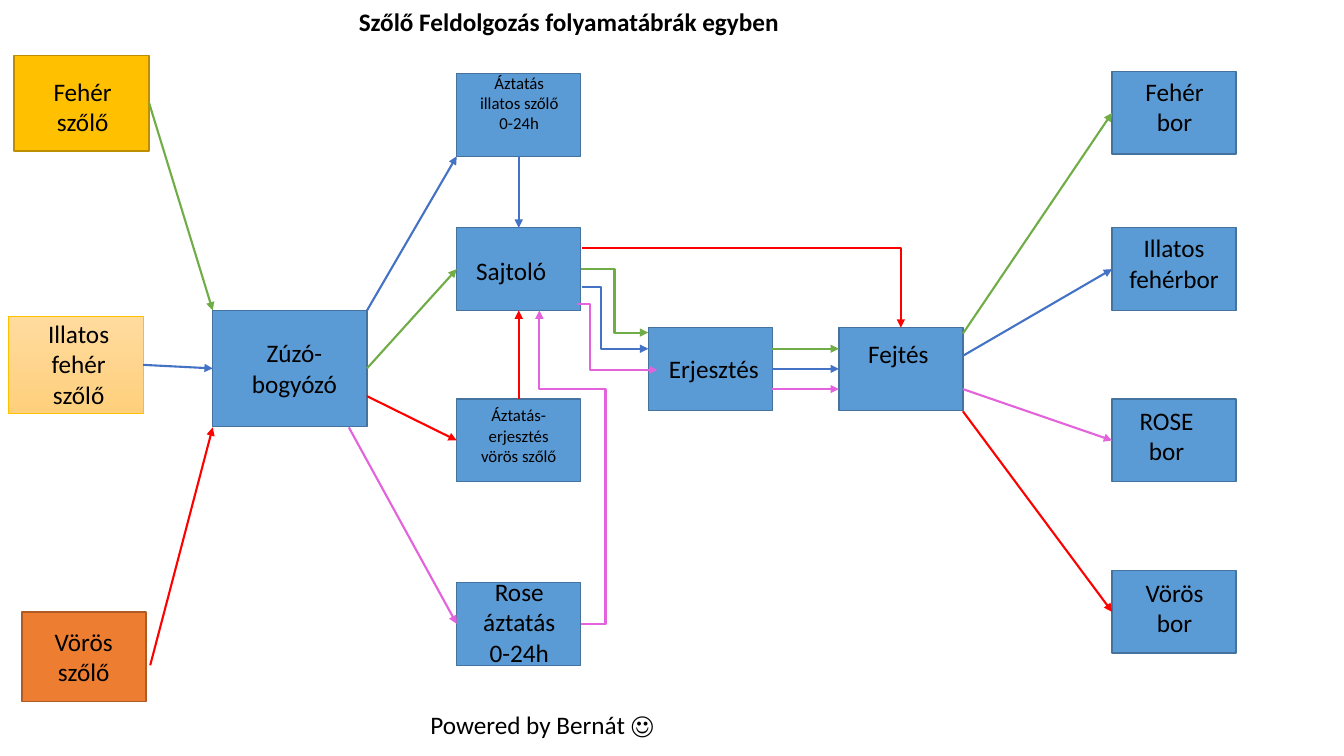
"""Build the grape processing flow chart slide."""
from lxml import etree
from pptx import Presentation
from pptx.dml.color import RGBColor
from pptx.enum.shapes import MSO_CONNECTOR as CONN, MSO_SHAPE as SHAPE
from pptx.enum.text import MSO_AUTO_SIZE as AUTO, PP_ALIGN as ALIGN
from pptx.oxml.ns import qn
from pptx.util import Inches, Pt

BLACK = RGBColor(0x00, 0x00, 0x00)
GOLD = RGBColor(0xFF, 0xC0, 0x00)
GOLD_EDGE = RGBColor(0xBD, 0x8E, 0x00)
ORANGE = RGBColor(0xED, 0x7D, 0x31)
ORANGE_EDGE = RGBColor(0xAF, 0x5C, 0x24)
SKY = RGBColor(0x5B, 0x9B, 0xD5)
SKY_EDGE = RGBColor(0x43, 0x73, 0x9E)
PEACH_TOP = RGBColor(0xFF, 0xDB, 0x9E)
PEACH_BOTTOM = RGBColor(0xFF, 0xD0, 0x7C)
GREEN = RGBColor(0x70, 0xAD, 0x47)
BLUE = RGBColor(0x44, 0x72, 0xC4)
RED = RGBColor(0xFF, 0x00, 0x00)
PINK = RGBColor(0xE4, 0x62, 0xDB)

TOP, LEFT, BOTTOM, RIGHT = range(4)
STEP_W, STEP_H = 1.23, 0.82

prs = Presentation()
prs.slide_width, prs.slide_height = Inches(13.33), Inches(7.5)
slide = prs.slides.add_slide(prs.slide_layouts[6])
shapes = slide.shapes


def add_text(lines, x, y, w, h, size=18, align=ALIGN.CENTER, bold=False):
    tf = shapes.add_textbox(Inches(x), Inches(y), Inches(w), Inches(h)).text_frame
    tf.word_wrap = True
    tf.auto_size = AUTO.SHAPE_TO_FIT_TEXT
    for i, line in enumerate(lines):
        p = tf.paragraphs[0] if i == 0 else tf.add_paragraph()
        p.alignment = align
        r = p.add_run()
        r.text = line
        r.font.name, r.font.size, r.font.bold = "Calibri", Pt(size), bold
        r.font.color.rgb = BLACK


def add_arrow(color, start, end, bend=None, adjustments=()):
    points = [(0, 0) if isinstance(e[0], str) else e for e in (start, end)]
    kind = CONN.ELBOW if bend else CONN.STRAIGHT
    cx = shapes.add_connector(kind, *(Inches(v) for pt in points for v in pt))
    if isinstance(start[0], str):
        cx.begin_connect(boxes[start[0]], start[1])
    if isinstance(end[0], str):
        cx.end_connect(boxes[end[0]], end[1])
    cx.line.color.rgb, cx.line.width = color, Pt(1.5)
    sp_pr = cx._element.spPr
    etree.SubElement(cx.line._get_or_add_ln(), qn("a:tailEnd"), type="triangle")
    etree.SubElement(sp_pr, qn("a:effectLst"))
    if bend:
        geom = sp_pr.find(qn("a:prstGeom"))
        geom.set("prst", bend)
        guides = geom.find(qn("a:avLst"))
        for i, value in enumerate(adjustments, 1):
            etree.SubElement(guides, qn("a:gd"), name=f"adj{i}", fmla=f"val {round(value * 100000)}")


box_specs = [
    ("white grape", 0.14, 0.55, 1.34, 0.95, GOLD, GOLD_EDGE),
    ("red grape", 0.22, 6.07, 1.23, 0.89, ORANGE, ORANGE_EDGE),
    ("aromatic grape", 0.08, 3.14, 1.34, 0.96, None, GOLD),
    ("crusher", 2.11, 3.08, 1.53, 1.15, SKY, SKY_EDGE),
]
steps = [
    ("aromatic soak", 4.53, 0.73), ("press", 4.53, 2.26),
    ("red soak", 4.53, 3.96), ("rose soak", 4.53, 5.78),
    ("fermentation", 6.43, 3.25), ("racking", 8.32, 3.25),
    ("white wine", 11.03, 0.71), ("aromatic wine", 11.03, 2.26),
    ("rose wine", 11.03, 3.96), ("red wine", 11.03, 5.66),
]
box_specs += [(name, x, y, STEP_W, STEP_H, SKY, SKY_EDGE) for name, x, y in steps]

boxes = {}
for name, x, y, w, h, fill, edge in box_specs:
    sp = shapes.add_shape(SHAPE.RECTANGLE, Inches(x), Inches(y), Inches(w), Inches(h))
    sp.shadow.inherit = False
    if fill is None:
        sp.fill.gradient()
        sp.fill.gradient_angle = 270
        for stop, color in zip(sp.fill.gradient_stops, (PEACH_TOP, PEACH_BOTTOM)):
            stop.color.rgb = color
    else:
        sp.fill.solid()
        sp.fill.fore_color.rgb = fill
    sp.line.color.rgb = edge
    sp.line.width = Pt(0.5 if fill is None else 1)
    boxes[name] = sp

labels = [
    (["Fehér szőlő"], 0.28, 0.71, 1.08, 0.71),
    (["Vörös szőlő"], 0.29, 6.16, 1.08, 0.71),
    (["Illatos fehér szőlő"], 0.34, 3.11, 0.88, 1.01),
    (["Zúzó-bogyózó"], 2.38, 3.3, 1.08, 0.71),
    (["Áztatás illatos szőlő 0-24h"], 4.61, 0.67, 1.08, 0.71, 12),
    (["Sajtoló"], 4.53, 2.48, 1.08, 0.4),
    (["Áztatás-", "erjesztés", "vörös szőlő"], 4.53, 3.97, 1.23, 0.71, 12),
    (["Rose áztatás 0-24h"], 4.61, 5.67, 1.08, 1.01),
    (["Erjesztés"], 6.5, 3.46, 1.16, 0.4),
    (["Fejtés"], 8.37, 3.31, 1.08, 0.4),
    (["Fehér bor"], 11.11, 0.71, 1.08, 0.71),
    (["Illatos fehérbor"], 11.03, 2.26, 1.23, 0.71),
    (["ROSE bor"], 11.03, 3.97, 1.08, 0.71),
    (["Vörös bor"], 11.11, 5.68, 1.08, 0.71),
    (["Powered by Bernát ☺"], 4.17, 6.99, 3.86, 0.4, 18, ALIGN.LEFT),
    (["Szőlő Feldolgozás folyamatábrák egyben"], 3.46, 0.01, 5.48, 0.4, 18, ALIGN.LEFT, True),
]
for label in labels:
    add_text(*label)

arrows = [
    (GREEN, ("white grape", RIGHT), (2.11, 3.08)),
    (BLUE, ("aromatic grape", RIGHT), ("crusher", LEFT)),
    (RED, (1.49, 6.6), (2.11, 4.24)),
    (BLUE, (3.64, 3.08), (4.53, 1.55)),
    (GREEN, ("crusher", RIGHT), ("press", LEFT)),
    (RED, (3.64, 3.93), ("red soak", LEFT)),
    (PINK, (3.46, 4.24), ("rose soak", LEFT)),
    (BLUE, ("aromatic soak", BOTTOM), ("press", TOP)),
    (RED, ("red soak", TOP), ("press", BOTTOM)),
    (PINK, ("rose soak", RIGHT), (5.35, 3.08), "bentConnector4", (-0.6, 0.75)),
    (GREEN, ("press", RIGHT), (6.43, 3.3), "bentConnector3", (0.5,)),
    (RED, (5.77, 2.46), ("racking", TOP), "bentConnector2"),
    (BLUE, (5.77, 2.85), (6.43, 3.46), "bentConnector3", (0.29,)),
    (PINK, (5.72, 3.02), (6.52, 3.67), "bentConnector3", (0.16,)),
    (GREEN, (7.66, 3.46), (8.32, 3.46)),
    (BLUE, ("fermentation", RIGHT), ("racking", LEFT)),
    (PINK, (7.66, 3.86), (8.32, 3.86)),
    (GREEN, (9.55, 3.31), ("white wine", LEFT)),
    (BLUE, (9.55, 3.53), ("aromatic wine", LEFT)),
    (PINK, (9.55, 3.86), ("rose wine", LEFT)),
    (RED, (9.55, 4.08), ("red wine", LEFT)),
]
for arrow in arrows:
    add_arrow(*arrow)

prs.save("out.pptx")
